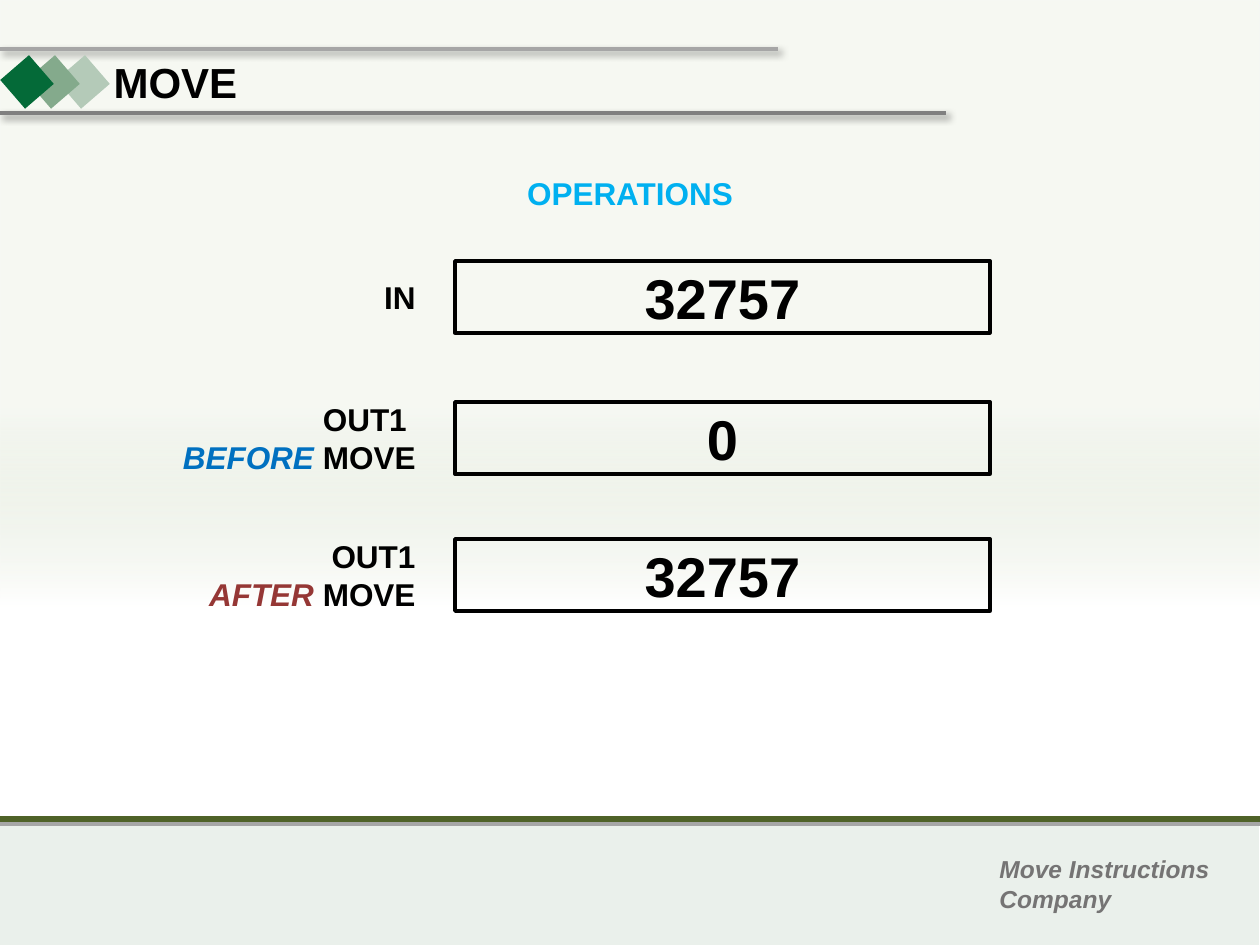
from lxml import etree
from pptx import Presentation
from pptx.dml.color import RGBColor
from pptx.enum.shapes import MSO_CONNECTOR, MSO_SHAPE
from pptx.enum.text import MSO_ANCHOR, MSO_AUTO_SIZE, PP_ALIGN
from pptx.oxml import parse_xml
from pptx.oxml.ns import nsdecls, qn
from pptx.util import Emu, Pt

RECT = MSO_SHAPE.RECTANGLE
LINE = MSO_CONNECTOR.STRAIGHT
MIDDLE = MSO_ANCHOR.MIDDLE
FIXED, GROW = MSO_AUTO_SIZE.NONE, MSO_AUTO_SIZE.SHAPE_TO_FIT_TEXT
LEFT, MID, RIGHT = PP_ALIGN.LEFT, PP_ALIGN.CENTER, PP_ALIGN.RIGHT
HEX = {
    "black": "000000", "footer": "EAF0EB", "olive": "4F6228",
    "silver": "A6A6A6", "gray": "808080", "note": "757474",
    "pale": "B4CAB8", "sage": "84AA8C", "green": "046A38",
    "sky": "00B0F0", "blue": "0070C0", "red": "953735",
    "moss": "D1DCC3", "white": "FFFFFF",
}


def px(*nums):
    return [Emu(round(n * 914400 / 126)) for n in nums]


def write(shape, lines, size, align):
    """Each line is a list of (text, colour, italic) runs."""
    frame = shape.text_frame
    for i, line in enumerate(lines):
        para = frame.add_paragraph() if i else frame.paragraphs[0]
        para.alignment = align
        for text, color, slant in line:
            run = para.add_run()
            run.text = text
            font = run.font
            font.name, font.size = "Arial", Pt(size)
            font.bold, font.italic = True, slant
            font.color.rgb = RGBColor.from_string(HEX[color])


deck = Presentation()
deck.slide_width, deck.slide_height = px(1260, 945)
slide = deck.slides.add_slide(deck.slide_layouts[5])
shapes = slide.shapes

# Footer band and fading backdrop
band = shapes.add_shape(RECT, *px(-1, 819, 1260, 126))
band.fill.solid()
band.fill.fore_color.rgb = RGBColor.from_string(HEX["footer"])
back = shapes.add_shape(RECT, *px(0, 0, 1260, 819))
back.fill.background()
none = back._element.spPr.find(qn("a:noFill"))
none.getparent().replace(none, parse_xml(
    f'<a:gradFill {nsdecls("a")} rotWithShape="1"><a:gsLst>'
    f'<a:gs pos="50000"><a:srgbClr val="{HEX["moss"]}"><a:alpha val="20000"/></a:srgbClr></a:gs>'
    f'<a:gs pos="74000"><a:srgbClr val="{HEX["white"]}"/></a:gs>'
    f'<a:gs pos="100000"><a:srgbClr val="{HEX["white"]}"/></a:gs>'
    '</a:gsLst><a:lin ang="5400000" scaled="0"/></a:gradFill>'))
for part in (band, back):
    part.line.fill.background()
    part.shadow.inherit = False

# Footer and header rules: start, end, height, colour, weight, shadow
for x1, x2, y, color, weight, shade in (
    (0, 1260, 824, "silver", 2.25, False),
    (0, 1260, 819, "olive", 3, False),
    (-1, 946, 113, "gray", 2.25, True),
    (-1, 778, 49, "silver", 2.25, True),
):
    rule = shapes.add_connector(LINE, *px(x1, y, x2, y))
    rule.line.color.rgb = RGBColor.from_string(HEX[color])
    rule.line.width = Pt(weight)
    effect = etree.SubElement(rule._element.spPr, qn("a:effectLst"))
    if shade:
        effect.append(parse_xml(
            f'<a:outerShdw {nsdecls("a")} blurRad="50800" dist="38100" dir="2700000" '
            f'algn="tl" rotWithShape="0"><a:srgbClr val="{HEX["black"]}">'
            '<a:alpha val="40000"/></a:srgbClr></a:outerShdw>'))

# Header diamonds
for x, color in ((64, "pale"), (34, "sage"), (8, "green")):
    gem = shapes.add_shape(RECT, *px(x, 63, 38, 38))
    gem.rotation = 49.2
    gem.fill.solid()
    gem.fill.fore_color.rgb = RGBColor.from_string(HEX[color])
    gem.line.fill.background()
    gem.shadow.inherit = False

# Title, brought in front of the backdrop
title = shapes.title
title.left, title.top, title.width, title.height = px(101, 50, 155, 63)
title.text_frame.vertical_anchor = MIDDLE
title.text_frame.auto_size = FIXED
write(title, [[("MOVE", "black", False)]], 24, LEFT)
shapes._spTree.append(title._element)

# Boxes with a value: top, value, label width, label height, label
ROWS = (
    (261, "32757", 57, 50, [[("IN", "black", False)]]),
    (402, "0", 261, 89, [[("OUT1 ", "black", False)],
                         [("BEFORE", "blue", True), (" MOVE", "black", False)]]),
    (539, "32757", 238, 89, [[("OUT1", "black", False)],
                             [("AFTER", "red", True), (" MOVE", "black", False)]]),
)
notes = [
    (987, 848, 236, 72, 14, LEFT,
     [[("Move Instructions", "note", True)], [("Company", "note", True)]]),
    (514, 168, 232, 50, 18, MID, [[("OPERATIONS", "sky", False)]]),
]
for top, value, wide, high, label in ROWS:
    box = shapes.add_shape(RECT, *px(455, top, 535, 72))
    box.fill.background()
    box.line.color.rgb = RGBColor.from_string(HEX["black"])
    box.line.width = Pt(2)
    box.shadow.inherit = False
    box.text_frame.vertical_anchor = MIDDLE
    write(box, [[(value, "black", False)]], 32, MID)
    notes.append((428 - wide, top + 36 - high // 2, wide, high, 18, RIGHT, label))

# Footer note, heading and row labels
for x, y, wide, high, size, align, lines in notes:
    note = shapes.add_textbox(*px(x, y, wide, high))
    note.text_frame.word_wrap = False
    note.text_frame.auto_size = GROW
    write(note, lines, size, align)

deck.save("out.pptx")
